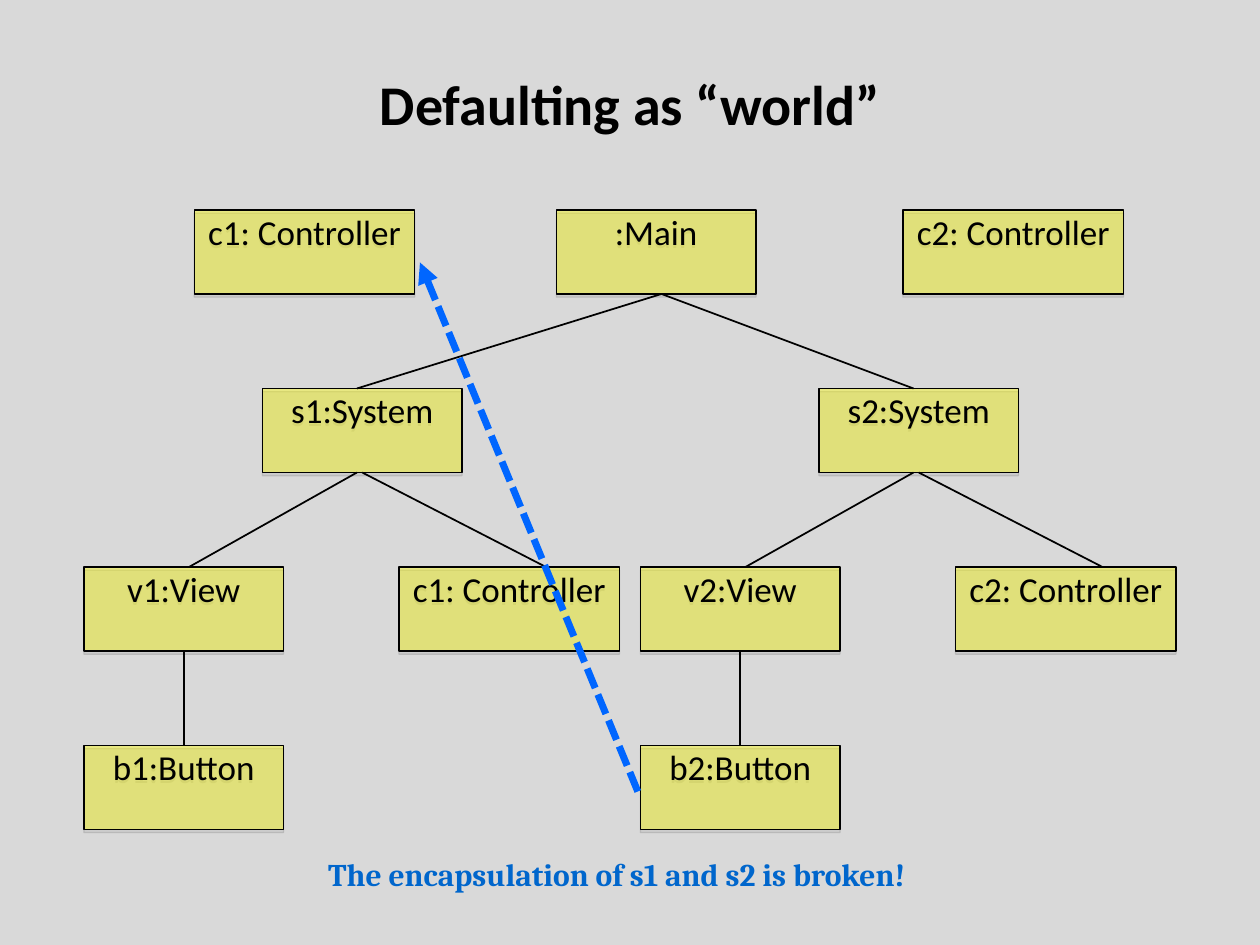
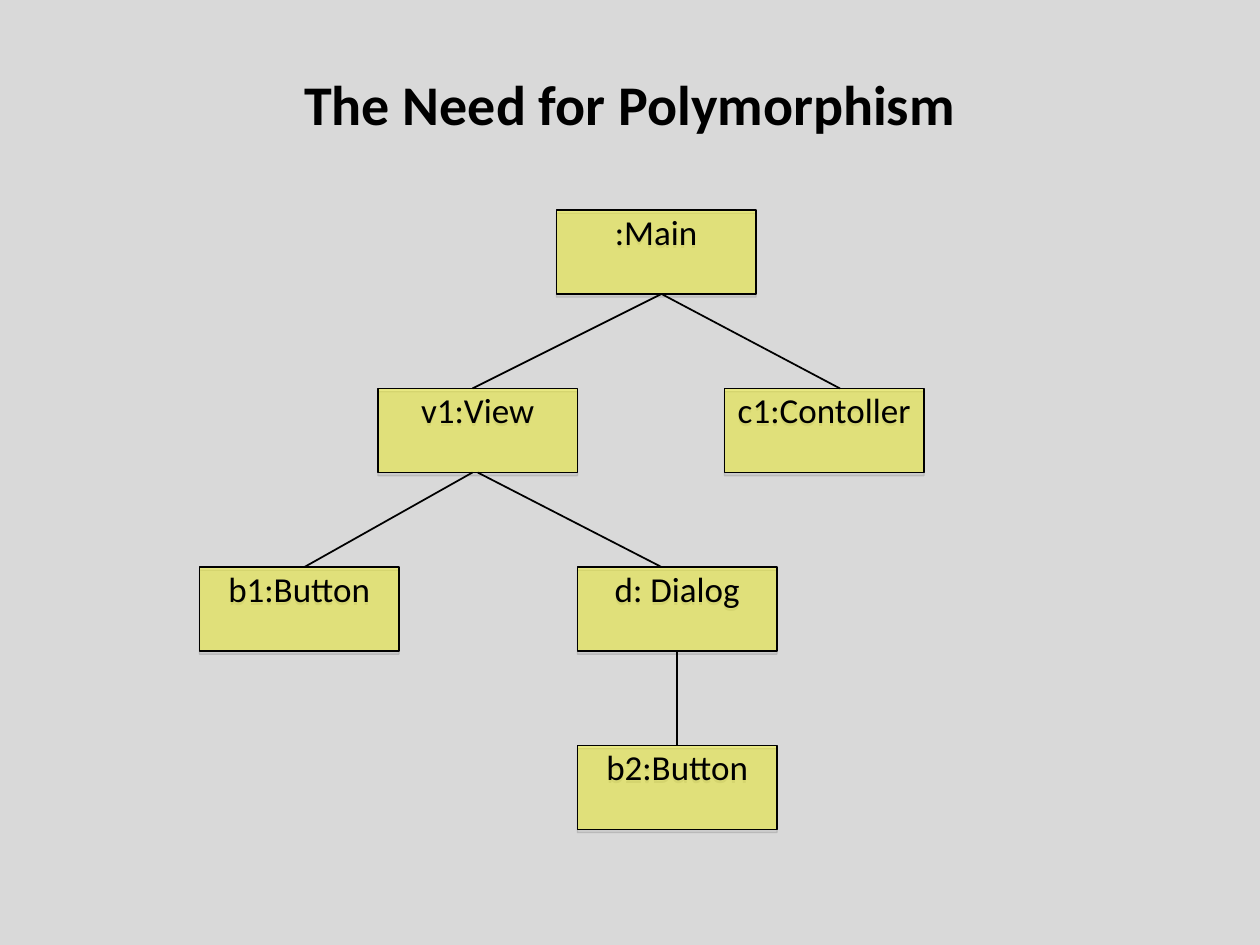
from lxml import etree
from pptx import Presentation
from pptx import util as u
from pptx.dml.color import RGBColor
from pptx.enum import dml, shapes, text
from pptx.oxml import ns

BLACK = RGBColor(0x00, 0x00, 0x00)
GRAY = RGBColor(0xD9, 0xD9, 0xD9)
YELLOW = RGBColor(0xFF, 0xFF, 0x00)
ARROW_BLUE = RGBColor(0x00, 0x66, 0xFF)
NOTE_BLUE = RGBColor(0x00, 0x66, 0xCC)
SHADOW_GRAY = RGBColor(0x80, 0x80, 0x80)

deck = Presentation()
deck.slide_width, deck.slide_height = u.Inches(10), u.Inches(7.5)

# The grid has 120 columns and 90 rows, all cells square.
CELL = deck.slide_width / 120
NARROW, WIDE, BOX_ROWS = 19, 21, 8
FIRST_ROW, LEVEL_ROWS = 20, 17

TITLE_FONT = {"name": "Calibri", "size": u.Pt(32), "bold": True}
BOX_FONT = {"name": "Calibri", "size": u.Pt(20), "bold": False}
NOTE_FONT = {"name": "Cambria", "size": u.Pt(18), "bold": True}
TITLE_FRAME = {"vertical_anchor": text.MSO_ANCHOR.TOP, "word_wrap": True,
               "auto_size": text.MSO_AUTO_SIZE.NONE,
               "margin_top": u.Inches(0.05), "margin_bottom": u.Inches(0.05)}
BOX_FRAME = {**TITLE_FRAME, "margin_top": 0}
NOTE_FRAME = {**TITLE_FRAME, "word_wrap": False, "margin_left": 0,
              "margin_right": 0, "margin_top": 0, "margin_bottom": 0}

# Boxes are (label, level, left column, columns wide).
# Links are (upper level, column at the top, column at the bottom).
PAGES = [
    {
        "title": "Defaulting as “world”",
        "boxes": [
            ("c1: Controller", 0, 18.5, WIDE),
            (":Main", 0, 53, NARROW),
            ("c2: Controller", 0, 86, WIDE),
            ("s1:System", 1, 25, NARROW),
            ("s2:System", 1, 78, NARROW),
            ("v1:View", 2, 8, NARROW),
            ("c1: Controller", 2, 38, WIDE),
            ("v2:View", 2, 61, NARROW),
            ("c2: Controller", 2, 91, WIDE),
            ("b1:Button", 3, 8, NARROW),
            ("b2:Button", 3, 61, NARROW),
        ],
        "links": [(0, 63, 34), (0, 63, 87), (1, 34, 18), (1, 34.5, 52),
                  (1, 87, 71), (1, 87.5, 105), (2, 17.5, 17.5), (2, 70.5, 70.5)],
        "reference": (40, 25, 61, 76),
        "note": "The encapsulation of s1 and s2 is broken!",
    },
    {
        "title": "The Need for Polymorphism",
        "boxes": [
            (":Main", 0, 53, NARROW),
            ("v1:View", 1, 36, NARROW),
            ("c1:Contoller", 1, 69, NARROW),
            ("b1:Button", 2, 19, NARROW),
            ("d: Dialog", 2, 55, NARROW),
            ("b2:Button", 3, 55, NARROW),
        ],
        "links": [(0, 63, 45), (0, 63, 80), (1, 45, 29), (1, 45.5, 63),
                  (2, 64.5, 64.5)],
    },
]


def write(frame, words, font, layout, color=BLACK):
    """Put one centred paragraph in a text frame and return it."""
    for name, value in layout.items():
        setattr(frame, name, value)
    para = frame.paragraphs[0]
    para.alignment = text.PP_ALIGN.CENTER
    span = para.add_run()
    span.text = words
    for name, value in font.items():
        setattr(span.font, name, value)
    span.font.color.rgb = color
    return para


def connect(page, ends, color, width):
    """Draw a straight line between two grid points, without a shadow."""
    line = page.shapes.add_connector(shapes.MSO_CONNECTOR.STRAIGHT,
                                     *(round(end * CELL) for end in ends))
    line.line.color.rgb = color
    line.line.width = u.Pt(width)
    etree.SubElement(line.element.spPr, ns.qn("a:effectLst"))
    return line


deck.slide_master.background.fill.solid()
deck.slide_master.background.fill.fore_color.rgb = GRAY

for content in PAGES:
    page = deck.slides.add_slide(deck.slide_layouts[5])
    title = page.shapes.title
    title.left, title.top, title.width, title.height = (
        round(cells * CELL) for cells in (6, 6, 108, 15))
    write(title.text_frame, content["title"], TITLE_FONT, TITLE_FRAME)

    for label, level, column, columns in content["boxes"]:
        place = (column, FIRST_ROW + level * LEVEL_ROWS, columns, BOX_ROWS)
        box = page.shapes.add_shape(shapes.MSO_SHAPE.RECTANGLE,
                                    *(round(cells * CELL) for cells in place))
        box.fill.solid()
        box.fill.fore_color.rgb = YELLOW
        box.line.color.rgb = BLACK
        box.line.width = u.Pt(0.74)
        write(box.text_frame, label, BOX_FONT, BOX_FRAME)

        box.shadow.inherit = False
        properties = box.element.spPr
        fill_color = properties.find(ns.qn("a:solidFill")).find(ns.qn("a:srgbClr"))
        etree.SubElement(fill_color, ns.qn("a:alpha"), val="40000")
        shadow = etree.SubElement(properties.find(ns.qn("a:effectLst")),
                                  ns.qn("a:outerShdw"), blurRad="0",
                                  dist=str(u.Pt(1.8)), dir="5400000",
                                  algn="ctr", rotWithShape="0")
        shade = etree.SubElement(shadow, ns.qn("a:srgbClr"), val=str(SHADOW_GRAY))
        etree.SubElement(shade, ns.qn("a:alpha"), val="35000")

    for level, start, end in content["links"]:
        bottom = FIRST_ROW + level * LEVEL_ROWS + BOX_ROWS
        next_top = FIRST_ROW + (level + 1) * LEVEL_ROWS
        connect(page, (start, bottom, end, next_top), BLACK, 1)

    if "reference" in content:
        arrow = connect(page, content["reference"], ARROW_BLUE, 4)
        arrow.line.dash_style = dml.MSO_LINE.SQUARE_DOT
        etree.SubElement(arrow.element.spPr.find(ns.qn("a:ln")),
                         ns.qn("a:headEnd"), type="triangle")

    if "note" in content:
        note = page.shapes.add_textbox(
            *(round(cells * CELL) for cells in (28, 82, 61.5, 3)))
        para = write(note.text_frame, content["note"], NOTE_FONT, NOTE_FRAME,
                     NOTE_BLUE)
        para.line_spacing = 0.83

deck.save("out.pptx")
